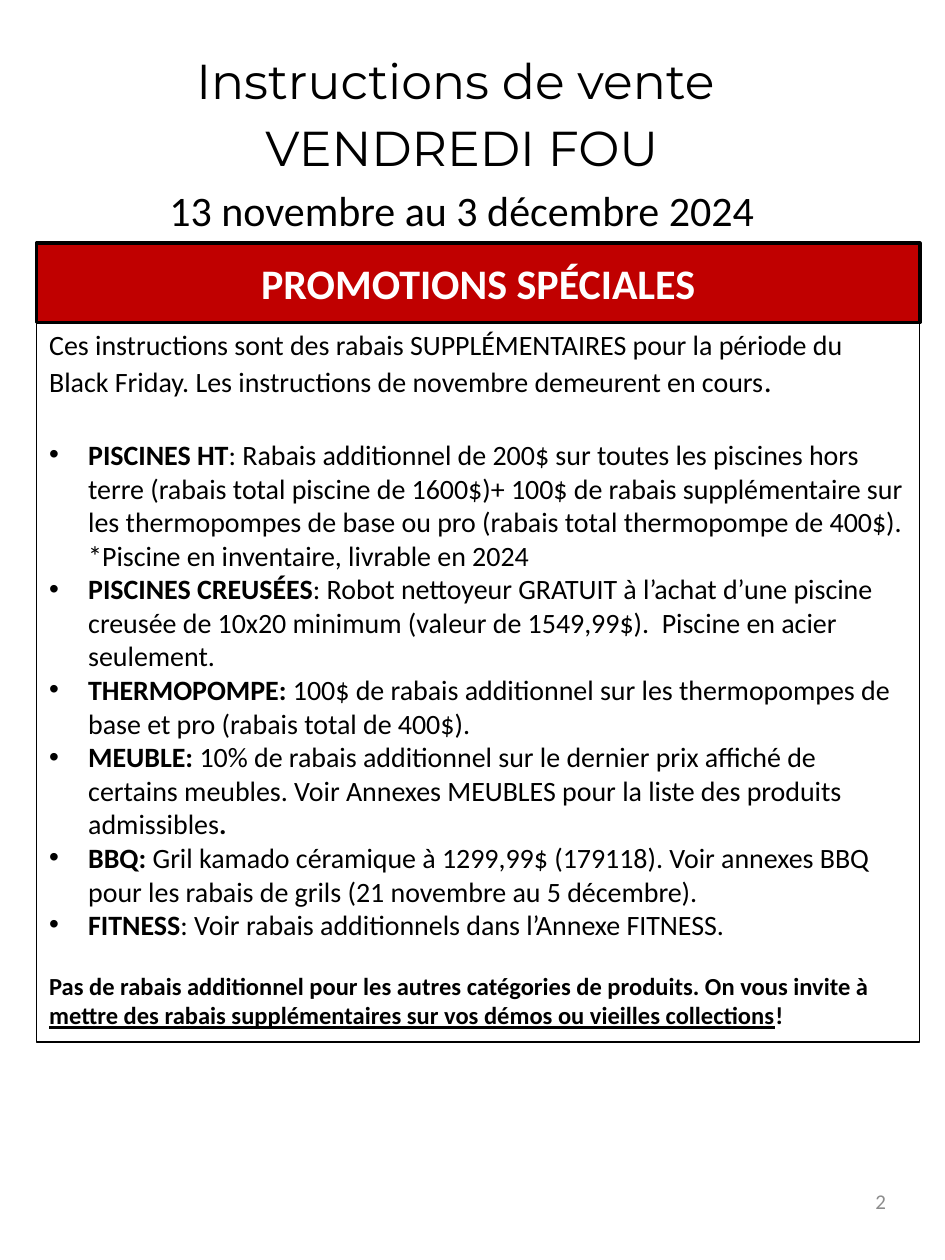
from pptx import Presentation
from pptx.dml.color import RGBColor
from pptx.enum.shapes import MSO_SHAPE
from pptx.enum.text import MSO_ANCHOR, MSO_AUTO_SIZE, PP_ALIGN
from pptx.oxml.ns import qn
from pptx.util import Inches, Pt
from lxml import etree

RECT = MSO_SHAPE.RECTANGLE
TOP, MIDDLE = MSO_ANCHOR.TOP, MSO_ANCHOR.MIDDLE
LEFT, CENTER, RIGHT = PP_ALIGN.LEFT, PP_ALIGN.CENTER, PP_ALIGN.RIGHT
FIXED = MSO_AUTO_SIZE.NONE

INTRO = [
    ("Ces instructions sont des rabais SUPPLÉMENTAIRES pour la période du Black Friday. "
     "Les instructions de novembre demeurent en cours", ""),
    (".", "l"),
]
OFFERS = [
    [("PISCINES HT", "b"),
     (": Rabais additionnel de 200$ sur toutes les piscines hors terre (rabais total piscine "
      "de 1600$)+ 100$ de rabais supplémentaire sur les thermopompes de base ou pro (rabais "
      "total thermopompe de 400$). *Piscine en inventaire, livrable en 2024", "")],
    [("PISCINES CREUSÉES", "b"),
     (": Robot nettoyeur GRATUIT à l’achat d’une piscine creusée de 10x20 minimum "
      "(valeur de 1549,99$).  Piscine en acier seulement.", "")],
    [("THERMOPOMPE: ", "b"),
     ("100$ de rabais additionnel sur les thermopompes de base et pro (rabais total de 400$).",
      "")],
    [("MEUBLE: ", "b"),
     ("10% de rabais additionnel sur le dernier prix affiché de certains meubles. Voir Annexes "
      "MEUBLES pour la liste des produits admissibles", ""), (".", "b")],
    [("BBQ: ", "b"),
     ("Gril kamado céramique à 1299,99$ (179118). Voir annexes BBQ pour les rabais de grils "
      "(21 novembre au 5 décembre).", "")],
    [("FITNESS", "b"), (": Voir rabais additionnels dans l’Annexe FITNESS.", "")],
]
NOTE = [
    ("Pas de rabais additionnel pour les autres catégories de produits. On vous invite à ", "b"),
    ("mettre des rabais supplémentaires sur vos démos ou vieilles collections", "bu"),
    ("!", "b"),
]


def color(code):
    """Return the colour of a hex string."""
    return RGBColor.from_string(code)


def place(shape, box):
    """Move a shape to a box given in inches."""
    shape.left, shape.top, shape.width, shape.height = [Inches(n) for n in box]


def style(font, size, code="000000", bold=False, name="Calibri"):
    """Set the face, size, colour and weight of a font."""
    font.name, font.size, font.bold = name, Pt(size), bold
    font.color.rgb = color(code)


def outline(shape, width):
    """Give a shape a black line."""
    shape.line.color.rgb = color("000000")
    shape.line.width = Pt(width)


def heading(slide, box):
    """Fill the title with two large lines and the dates."""
    title = slide.shapes.title
    place(title, box)
    frame = title.text_frame
    frame.text = "Instructions de vente \vVENDREDI FOU\v13 novembre au 3 décembre 2024"
    frame.auto_size, frame.vertical_anchor = FIXED, TOP
    para = frame.paragraphs[0]
    para.alignment, para.line_spacing = CENTER, 1.15
    para.space_before, para.space_after = Pt(0), Pt(10)
    *large, dates = para.runs
    for run in large:
        style(run.font, 28, name="Montserrat")
    style(dates.font, 24)


def banner(slide, box):
    """Draw the red band over the list."""
    band = slide.shapes.add_shape(RECT, *[Inches(n) for n in box])
    band.shadow.inherit = False
    band.fill.solid()
    band.fill.fore_color.rgb = color("C00000")
    outline(band, 2)
    frame = band.text_frame
    frame.text = "PROMOTIONS SPÉCIALES"
    frame.vertical_anchor = MIDDLE
    para = frame.paragraphs[0]
    para.alignment = CENTER
    style(para.runs[0].font, 24, "FFFFFF", True)


def write(para, parts, size, gap=0, bullet=False):
    """Write marked runs, with a hanging bullet if asked."""
    props = para._p.get_or_add_pPr()
    indent = Inches(0.31) if bullet else 0
    props.set("marL", str(indent))
    props.set("indent", str(-indent))
    if bullet:
        etree.SubElement(props, qn("a:buFont")).set("typeface", "Arial")
        etree.SubElement(props, qn("a:buChar")).set("char", "•")
    else:
        etree.SubElement(props, qn("a:buNone"))
    para.alignment = LEFT
    para.space_before, para.space_after = Pt(gap), Pt(0)
    for text, marks in parts:
        run = para.add_run()
        run.text = text
        style(run.font, 18 if "l" in marks else size, bold="b" in marks)
        run.font.underline = "u" in marks


def details(slide, box):
    """Fill the framed body with the intro, the offers and the note."""
    body = slide.placeholders[1]
    place(body, box)
    outline(body, 0.75)
    frame = body.text_frame
    frame.auto_size, frame.vertical_anchor = FIXED, TOP
    write(frame.paragraphs[0], INTRO, 16)
    for rank, offer in enumerate(OFFERS):
        write(frame.add_paragraph(), offer, 16, 0 if rank else 22, True)
    write(frame.add_paragraph(), NOTE, 14, 17)


def number(slide, box):
    """Put the page number at the foot."""
    frame = slide.shapes.add_textbox(*[Inches(n) for n in box]).text_frame
    frame.text = "2"
    frame.word_wrap, frame.vertical_anchor = True, MIDDLE
    para = frame.paragraphs[0]
    para.alignment = RIGHT
    style(para.runs[0].font, 12, "8C8C8C")


def main():
    """Build the slide and save it."""
    deck = Presentation()
    deck.slide_width, deck.slide_height = Inches(7.5), Inches(10)
    slide = deck.slides.add_slide(deck.slide_layouts[1])
    heading(slide, (0.29, 0.28, 6.75, 1.18))
    details(slide, (0.29, 2.55, 7.01, 5.72))
    banner(slide, (0.29, 1.93, 7.01, 0.63))
    number(slide, (5.38, 9.27, 1.75, 0.53))
    deck.save("out.pptx")


if __name__ == "__main__":
    main()
